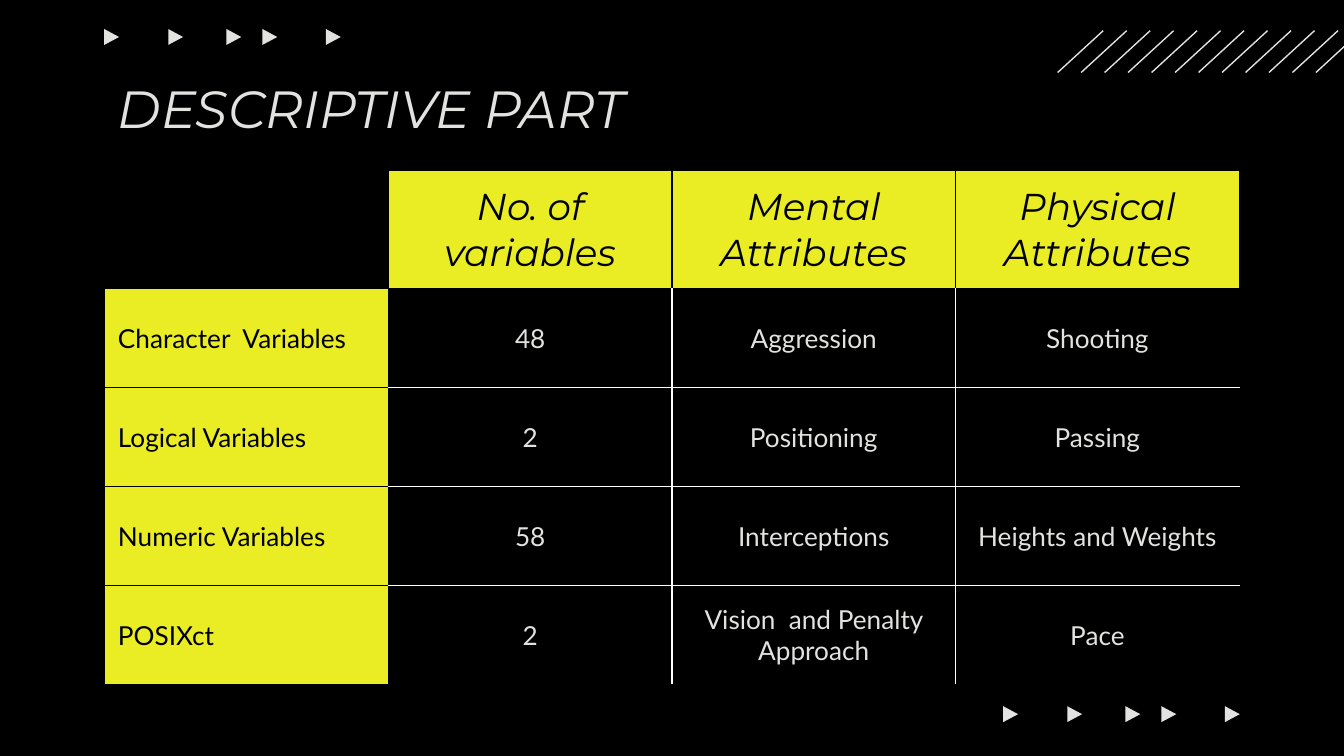
"""Build the descriptive part slide: a table of variables and attributes."""
from dataclasses import dataclass

from lxml import etree
from pptx import Presentation
from pptx import util as u
from pptx.dml.color import RGBColor
from pptx.enum import shapes, text
from pptx.oxml import ns

HEADINGS = ["", "No. of variables", "Mental Attributes", "Physical Attributes"]
RECORDS = [
    ["Character  Variables", "48", "Aggression", "Shooting"],
    ["Logical Variables", "2", "Positioning", "Passing"],
    ["Numeric Variables", "58", "Interceptions", "Heights and Weights"],
    ["POSIXct", "2", "Vision  and Penalty Approach", "Pace"],
]
ARROW_OFFSETS = [0, 1.21, 2.31, 2.99, 4.19]
STRIPES = 12


@dataclass(frozen=True)
class Theme:
    """Colours, fonts and type sizes of the slide."""

    dark: str = "000000"
    pale: str = "E2E3E0"
    accent: str = "EBED24"
    rule: str = "FFFFFF"
    display: str = "Montserrat"
    body: str = "Lato"
    title_size: int = 28
    heading_size: int = 20
    body_size: int = 14
    line_width: float = 0.75
    inset: float = 0.25


def apply(target, values):
    """Set each named attribute on the target."""
    for name, value in values.items():
        setattr(target, name, value)


class SlideBuilder:
    """Holds the theme and the current page and draws elements on it."""

    def __init__(self, page, theme):
        """Take the page and paint its background."""
        self.page, self.theme = page, theme
        self.margins = {f"margin_{side}": u.Cm(theme.inset)
                        for side in ("left", "right", "top", "bottom")}
        self.paint(page.background.fill, theme.dark)

    def paint(self, fill, color):
        """Make a fill solid."""
        fill.solid()
        fill.fore_color.rgb = RGBColor.from_string(color)

    def add_span(self, para, words, color, align, **font):
        """Put one formatted span into a paragraph."""
        span = para.add_run()
        span.text = words
        para.alignment = align
        apply(span.font, {"bold": False, **font})
        span.font.color.rgb = RGBColor.from_string(color)

    def title(self, words, left, top, width, height):
        """Place and format the title placeholder."""
        box, theme = self.page.shapes.title, self.theme
        apply(box, {"left": u.Cm(left), "top": u.Cm(top),
                    "width": u.Cm(width), "height": u.Cm(height)})
        apply(box.text_frame, {
            "word_wrap": True,
            "auto_size": text.MSO_AUTO_SIZE.NONE,
            "vertical_anchor": text.MSO_ANCHOR.TOP,
            **self.margins,
        })
        self.add_span(box.text_frame.paragraphs[0], words, theme.pale,
                      text.PP_ALIGN.LEFT, name=theme.display,
                      size=u.Pt(theme.title_size), italic=True)

    def stripe(self, left, top, width, height):
        """Draw one slanted line."""
        line = self.page.shapes.add_connector(
            shapes.MSO_CONNECTOR.STRAIGHT, u.Cm(left + width), u.Cm(top),
            u.Cm(left), u.Cm(top + height))
        line.line.width = u.Pt(self.theme.line_width)
        line.line.color.rgb = RGBColor.from_string(self.theme.pale)
        etree.SubElement(line._element.spPr, ns.qn("a:effectLst"))

    def arrow(self, left, top):
        """Draw one small triangle that points right."""
        shape = self.page.shapes.add_shape(
            shapes.MSO_SHAPE.ISOSCELES_TRIANGLE, u.Cm(left), u.Cm(top),
            u.Cm(0.3), u.Cm(0.28))
        shape.rotation = 90
        shape.shadow.inherit = False
        self.paint(shape.fill, self.theme.pale)
        shape.line.fill.background()

    def borders(self, cell, colors):
        """Give a cell its border colours by side."""
        properties = cell._tc.get_or_add_tcPr()
        for side, color in colors.items():
            line = etree.SubElement(properties, ns.qn(f"a:ln{side}"),
                                    w=str(u.Pt(self.theme.line_width)))
            fill = etree.SubElement(line, ns.qn("a:solidFill"))
            etree.SubElement(fill, ns.qn("a:srgbClr"), val=color)

    def cell(self, cell, words, row, column, last_row, last_column):
        """Format one table cell by its place in the grid."""
        theme = self.theme
        inner = row > 0 and column > 0
        ruled = {"L": column > 1, "R": column < last_column,
                 "T": row > 1, "B": row < last_row}
        self.borders(cell, {side: theme.rule if inner and shown else theme.dark
                            for side, shown in ruled.items()})
        apply(cell, {"vertical_anchor": text.MSO_ANCHOR.MIDDLE, **self.margins})
        if inner or not words:
            cell.fill.background()
        else:
            self.paint(cell.fill, theme.accent)
        if words:
            heading = row == 0
            self.add_span(
                cell.text_frame.paragraphs[0], words,
                theme.pale if inner else theme.dark,
                text.PP_ALIGN.CENTER if column else text.PP_ALIGN.LEFT,
                name=theme.display if heading else theme.body,
                size=u.Pt(theme.heading_size if heading else theme.body_size),
                italic=heading)

    def table(self, rows, left, top, column_width, heights):
        """Draw a table with highlighted headings and ruled inner cells."""
        last_row, last_column = len(rows) - 1, len(rows[0]) - 1
        table = self.page.shapes.add_table(
            len(rows), len(rows[0]), u.Cm(left), u.Cm(top),
            u.Cm(column_width * len(rows[0])), u.Cm(sum(heights))).table
        apply(table, {"first_row": False, "horz_banding": False})
        for column in table.columns:
            column.width = u.Cm(column_width)
        for r, (record, height) in enumerate(zip(rows, heights)):
            table.rows[r].height = u.Cm(height)
            for c, words in enumerate(record):
                self.cell(table.cell(r, c), words, r, c, last_row, last_column)


def main():
    """Compose the slide and save it."""
    deck = Presentation()
    apply(deck, {"slide_width": u.Cm(25.4), "slide_height": u.Cm(14.29)})
    page = deck.slides.add_slide(deck.slide_layouts.get_by_name("Title Only"))
    builder = SlideBuilder(page, Theme())
    for index in range(STRIPES):
        builder.stripe(19.99 + index * 4.88 / (STRIPES - 1), 0.58, 0.86, 0.79)
    for left, top in ((1.96, 0.56), (18.95, 13.36)):
        for offset in ARROW_OFFSETS:
            builder.arrow(left + offset, top)
    builder.title("DESCRIPTIVE PART", 1.98, 1.19, 21.44, 1.3)
    builder.table([HEADINGS, *RECORDS], 1.98, 3.23, 5.36,
                  [2.13] + [1.87] * len(RECORDS))
    deck.save("out.pptx")


if __name__ == "__main__":
    main()
